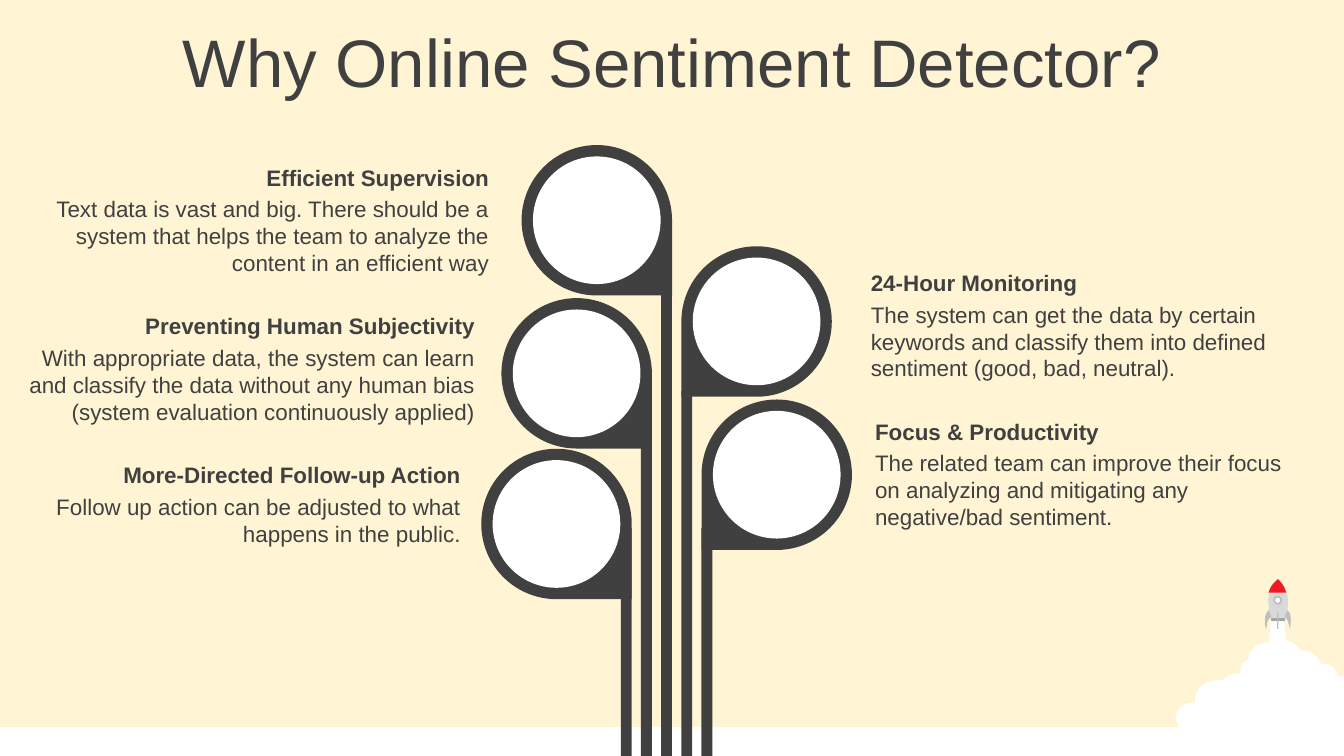
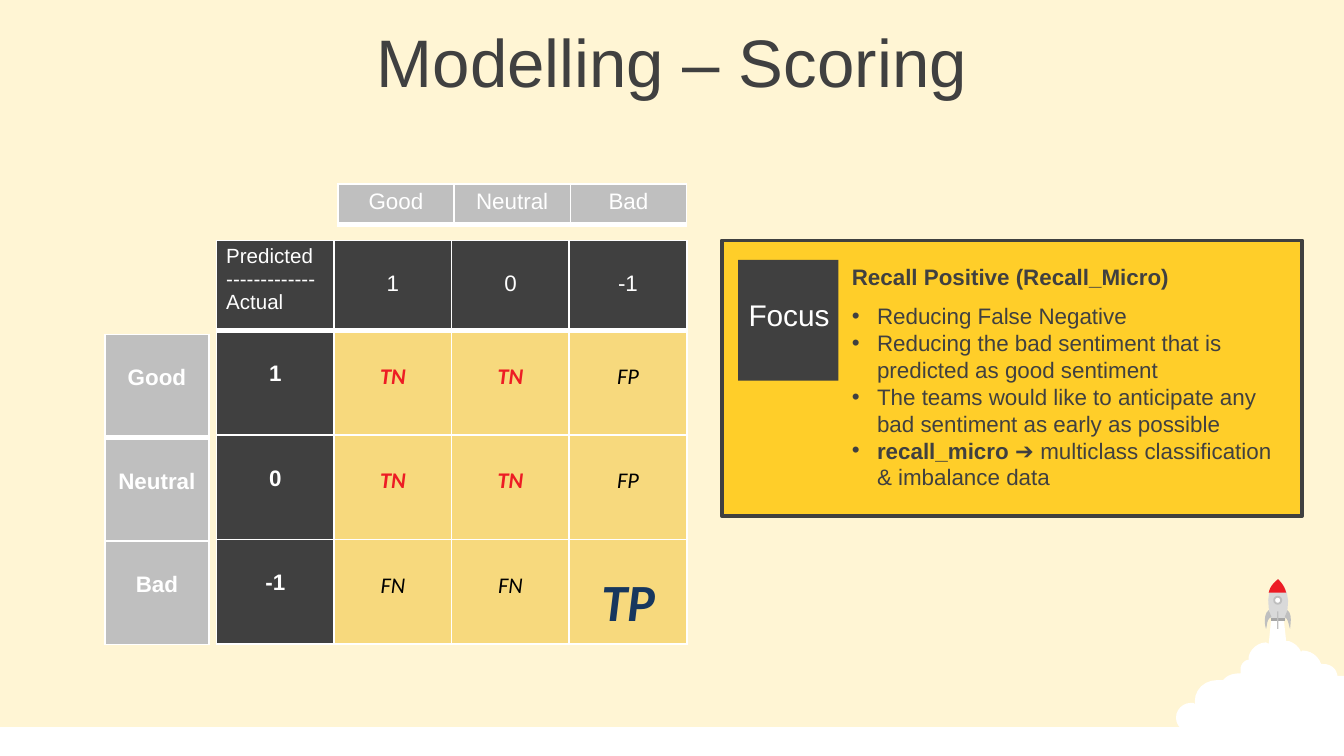
"""Build two slides: reasons for the sentiment detector, and its scoring matrix."""
from lxml import etree
from pptx import Presentation
from pptx.dml.color import RGBColor
from pptx.enum.shapes import MSO_SHAPE
from pptx.enum.text import MSO_ANCHOR, PP_ALIGN
from pptx.oxml.ns import qn
from pptx.util import Pt

RECT, OVAL, TEARDROP = MSO_SHAPE.RECTANGLE, MSO_SHAPE.OVAL, MSO_SHAPE.TEAR
LEFT, CENTER, RIGHT = PP_ALIGN.LEFT, PP_ALIGN.CENTER, PP_ALIGN.RIGHT
MIDDLE = MSO_ANCHOR.MIDDLE
rgb = RGBColor.from_string

CREAM, WHITE, INK, RED = "FFF5D4", "FFFFFF", "404040", "ED1C24"
SILVER, STEEL, ASH = "D9D9D9", "BFBFBF", "A6A6A6"
SAND, GOLD, NAVY, BLACK = "F7D97D", "FFCE29", "17375E", "000000"


def paint(shape, fill, line=None, width=1):
    """Give a shape a flat fill, an optional outline and no shadow."""
    shape.shadow.inherit = False
    shape.fill.solid()
    shape.fill.fore_color.rgb = rgb(fill)
    if line:
        shape.line.color.rgb = rgb(line)
        shape.line.width = Pt(width)
    else:
        shape.line.fill.background()


def write(frame, text, color=INK, align=LEFT, **changes):
    """Fill a text frame, one paragraph per line, with ** around bold words."""
    frame.word_wrap = True
    look = {"name": "Arial", "size": Pt(12), **changes}
    for row, line in enumerate(text.split("\n")):
        paragraph = frame.add_paragraph() if row else frame.paragraphs[0]
        paragraph.alignment = align
        for index, part in enumerate(line.split("**")):
            if part:
                run = paragraph.add_run()
                run.text = part
                run.font.bold = index % 2 == 1
                run.font.color.rgb = rgb(color)
                for key, value in look.items():
                    setattr(run.font, key, value)


GRID = Pt(0.72)
CLOUD = [
    (946, 459), (955, 459), (957, 477), (959, 477),
    (962, 478, 965, 480, 967, 483), (968, 485), (969, 484),
    (975, 484, 981, 488, 983, 494), (984, 494),
    (990, 494, 994, 497, 995, 502), (995, 503), (1000, 503),
    (1000, 560), (998, 560), (994, 560, 990, 559, 987, 557),
    (986, 556), (985, 557), (983, 558, 981, 559, 978, 559),
    (975, 559, 973, 557, 971, 555), (969, 554), (969, 555),
    (967, 558, 964, 559, 960, 559), (957, 559, 954, 558, 952, 556),
    (951, 555), (949, 556), (945, 559, 940, 561, 934, 561),
    (923, 561, 917, 556, 913, 551), (911, 553, 907, 554, 904, 553),
    (900, 552, 894, 550, 893, 545), (893, 543), (892, 544),
    (891, 545, 889, 545, 886, 545), (880, 545, 875, 540, 875, 534),
    (875, 528, 880, 523, 886, 523), (888, 523), (889, 524), (889, 522),
    (889, 513, 896, 506, 906, 506), (910, 506), (911, 505),
    (914, 502, 918, 501, 923, 501), (923, 498),
    (923, 495, 925, 492, 928, 491), (929, 491), (929, 489),
    (930, 483, 936, 478, 942, 478), (944, 479),
]
HULL = [(946, 462), (944, 453, 940, 440, 951, 431), (962, 441, 958, 454, 956, 462)]
NOZZLE = [(946, 460), (956, 460), (956, 462), (946, 462)]
NOSE = [(951, 431), (954, 434, 956, 437, 957, 441), (944, 441), (945, 437, 947, 434, 951, 431)]
LEFT_FIN = [(944, 454), (946, 459), (942, 461, 943, 466, 942, 468), (941, 465, 940, 457, 944, 454)]
RIGHT_FIN = [(958, 454), (956, 459), (959, 461, 959, 466, 960, 468), (960, 465, 962, 457, 958, 454)]
ROCKET = [(CLOUD, WHITE), (HULL, SILVER), (NOZZLE, ASH), (NOSE, RED),
          (LEFT_FIN, STEEL), (RIGHT_FIN, STEEL)]
CURVE_STEPS = 6

prs = Presentation()
prs.slide_width, prs.slide_height = Pt(720), Pt(405)
slides = []
for title in ["Why Online Sentiment Detector?", "Modelling – Scoring"]:
    slide = prs.slides.add_slide(prs.slide_layouts[6])
    slides.append(slide)
    slide.background.fill.solid()
    slide.background.fill.fore_color.rgb = rgb(CREAM)
    ground = slide.shapes.add_shape(RECT, Pt(0), Pt(389.5), Pt(720), Pt(15.5))
    paint(ground, WHITE)
    for outline, color in ROCKET:
        points = [outline[0]]
        for node in outline[1:]:
            if len(node) == 2:
                points.append(node)
                continue
            x0, y0 = points[-1]
            x1, y1, x2, y2, x3, y3 = node
            for step in range(1, CURVE_STEPS + 1):
                t = step / CURVE_STEPS
                u = 1 - t
                a, b, c, d = u**3, 3 * u * u * t, 3 * u * t * t, t**3
                points.append((a * x0 + b * x1 + c * x2 + d * x3,
                               a * y0 + b * y1 + c * y2 + d * y3))
        start, *rest = [(x * GRID, y * GRID) for x, y in points]
        builder = slide.shapes.build_freeform(*start, scale=1.0)
        builder.add_line_segments(rest, close=True)
        paint(builder.convert_to_shape(), color)
    porthole = slide.shapes.add_shape(OVAL, Pt(682.6), Pt(319.7), Pt(3.8), Pt(3.8))
    paint(porthole, WHITE, STEEL)
    middle_fin = slide.shapes.add_shape(RECT, Pt(684.1), Pt(327.6), Pt(0.7), Pt(9.4))
    paint(middle_fin, STEEL)
    heading = slide.shapes.add_textbox(Pt(0), Pt(10), Pt(720), Pt(45.4)).text_frame
    heading.vertical_anchor = MIDDLE
    write(heading, title, align=CENTER, size=Pt(36))
    heading.paragraphs[0].space_before = Pt(6)

why, scoring = slides

DROP, RIM, STEM, BRANCH_STEP = 80.6, 6.1, 5.8, 10.8
LEFT_BRANCHES = [(77.7, 149.8), (159.7, 209.5), (240.4, 283)]
RIGHT_BRANCHES = [(131.9, 209.5), (214, 283)]
for branches, turn in [(LEFT_BRANCHES, 90), (RIGHT_BRANCHES, 180)]:
    for index, (top, stem_top) in enumerate(branches):
        if turn == 90:
            left = 279.4 - index * BRANCH_STEP
            stem_left = left + DROP - STEM
        else:
            left = stem_left = 365 + index * BRANCH_STEP
        drop = why.shapes.add_shape(TEARDROP, Pt(left), Pt(top), Pt(DROP), Pt(DROP))
        drop.rotation = turn
        paint(drop, INK)
        hole = DROP - 2 * RIM
        disc = why.shapes.add_shape(OVAL, Pt(left + RIM), Pt(top + RIM), Pt(hole), Pt(hole))
        paint(disc, WHITE)
        stem = why.shapes.add_shape(RECT, Pt(stem_left), Pt(stem_top), Pt(STEM), Pt(405 - stem_top))
        paint(stem, INK)

LEFT_REASONS = [
    ("Efficient Supervision", "Text data is vast and big. There should be a system that "
     "helps the team to analyze the content in an efficient way"),
    ("Preventing Human Subjectivity", "With appropriate data, the system can learn and classify "
     "the data without any human bias (system evaluation continuously applied)"),
    ("More-Directed Follow-up Action", "Follow up action can be adjusted to what happens in the public."),
]
RIGHT_REASONS = [
    ("24-Hour Monitoring", "The system can get the data by certain keywords and classify "
     "them into defined sentiment (good, bad, neutral)."),
    ("Focus & Productivity", "The related team can improve their focus on analyzing and "
     "mitigating any negative/bad sentiment."),
]
for reasons, first_top, align in [(LEFT_REASONS, 84.2, RIGHT), (RIGHT_REASONS, 140.6, LEFT)]:
    for index, (name, detail) in enumerate(reasons):
        top = first_top + index * 79.7
        if align == RIGHT:
            left, right = 8.6, 269.2 - index * 7.6
        else:
            left, right = 459.4 + index * 2.3, 705.6
        for text, y, height in [(detail, top + 17, 65.5), (f"**{name}**", top, 21.6)]:
            box = why.shapes.add_textbox(Pt(left), Pt(y), Pt(right - left), Pt(height))
            write(box.text_frame, text, align=align)

OUTCOMES = {
    "**TN**": {"color": RED},
    "FP": {"color": BLACK},
    "FN": {"color": BLACK},
    "**TP**": {"color": NAVY, "size": Pt(28)},
}
CORNER = "Predicted\n-------------\nActual"
MATRIX = [
    [CORNER, "1", "0", "-1"],
    ["**1**", "**TN**", "**TN**", "FP"],
    ["**0**", "**TN**", "**TN**", "FP"],
    ["**-1**", "FN", "FN", "**TP**"],
]
TABLES = [
    (116, 128.8, 63, [48.3, 56, 56, 56], INK, 16.6, MATRIX),
    (181, 98.6, 62.3, [21.6], STEEL, 2.6, [["Good", "Neutral", "Bad"]]),
    (56.3, 179.2, 55.6, [55.4] * 3, STEEL, 16.6, [["**Good**"], ["**Neutral**"], ["**Bad**"]]),
]
for left, top, column_width, heights, fill, text_top, rows in TABLES:
    size = len(rows), len(rows[0])
    table = scoring.shapes.add_table(
        *size, Pt(left), Pt(top), Pt(column_width * size[1]), Pt(sum(heights))).table
    table.first_row = table.horz_banding = False
    for column in table.columns:
        column.width = Pt(column_width)
    for r, texts in enumerate(rows):
        table.rows[r].height = Pt(heights[r])
        for c, text in enumerate(texts):
            cell = table.cell(r, c)
            outcome = OUTCOMES.get(text)
            cell.margin_left = cell.margin_right = Pt(5.2)
            cell.margin_bottom = Pt(2.6)
            cell.margin_top = Pt(2.6 if text == CORNER else 17.3 if outcome else text_top)
            properties = cell._tc.get_or_add_tcPr()
            for side in ["L", "R", "T", "B"]:
                width = 3 if side == "B" and r == 0 else 1
                border = etree.SubElement(properties, qn(f"a:ln{side}"), w=str(Pt(width)))
                solid = etree.SubElement(border, qn("a:solidFill"))
                etree.SubElement(solid, qn("a:srgbClr"), val=WHITE)
            cell.fill.solid()
            cell.fill.fore_color.rgb = rgb(SAND if outcome else fill)
            if outcome:
                write(cell.text_frame, text, align=CENTER, name="Calibri", italic=True, **outcome)
            elif text == CORNER:
                write(cell.text_frame, text, WHITE, size=Pt(11))
            else:
                write(cell.text_frame, text, WHITE, CENTER)

focus_panel = scoring.shapes.add_shape(RECT, Pt(386.6), Pt(128.8), Pt(311), Pt(147.6))
paint(focus_panel, GOLD, INK, 2)
focus_tile = scoring.shapes.add_shape(RECT, Pt(395.4), Pt(139.2), Pt(53.8), Pt(64.8))
paint(focus_tile, INK)
focus_label = scoring.shapes.add_textbox(Pt(380.9), Pt(155.5), Pt(70.6), Pt(32.4))
write(focus_label.text_frame, "Focus", WHITE, RIGHT, size=Pt(16))
goals = scoring.shapes.add_textbox(Pt(449.3), Pt(158.4), Pt(239.8), Pt(108.7)).text_frame
write(goals, "Reducing False Negative\n"
      "Reducing the bad sentiment that is predicted as good sentiment\n"
      "The teams would like to anticipate any bad sentiment as early as possible\n"
      "**recall_micro **➔ multiclass classification & imbalance data")
for goal in goals.paragraphs:
    properties = goal._p.get_or_add_pPr()
    properties.set("marL", str(Pt(13.5)))
    properties.set("indent", str(-Pt(13.5)))
    etree.SubElement(properties, qn("a:buFont"), typeface="Arial")
    etree.SubElement(properties, qn("a:buChar"), char="•")
metric = scoring.shapes.add_textbox(Pt(449.3), Pt(137.5), Pt(239.8), Pt(21.6))
write(metric.text_frame, "**Recall Positive (Recall_Micro)**")

prs.save("out.pptx")
